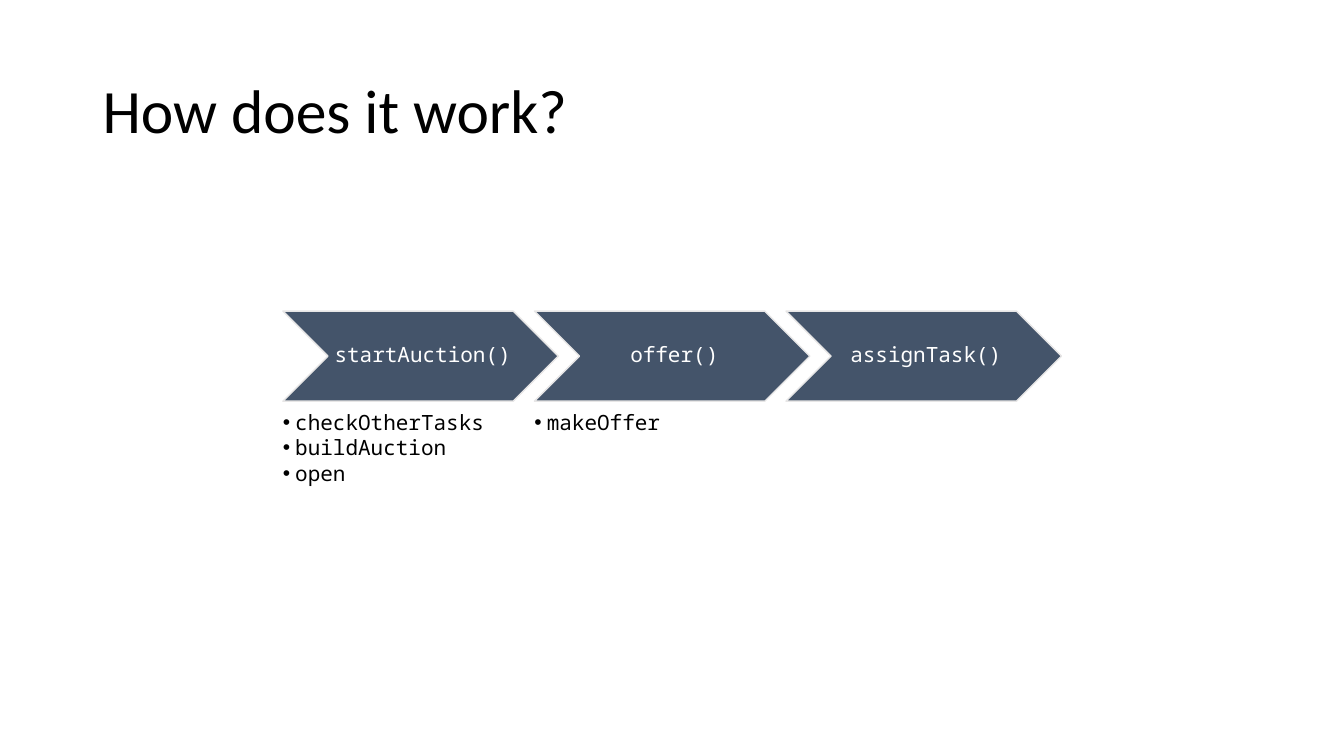
import pptx
import pptx.dml.color
import pptx.enum.shapes
import pptx.enum.text
import pptx.oxml.ns
import pptx.util
from lxml import etree

Cm, Pt = pptx.util.Cm, pptx.util.Pt
ALIGN = pptx.enum.text.PP_ALIGN
ANCHOR = pptx.enum.text.MSO_ANCHOR

TITLE = "How does it work?"
STEPS = [
    ("startAuction()", ["checkOtherTasks", "buildAuction", "open"]),
    ("offer()", ["makeOffer"]),
    ("assignTask()", []),
]
MONO, SANS, BULLET_FONT = "Noto Sans Mono", "Calibri", "Arial"
BLACK, WHITE, SLATE, PALE = "000000", "FFFFFF", "44546A", "E7E6E6"

LEFT, TOP, PITCH = 7.13, 7.84, 6.34
STEP_W, STEP_H = 6.94, 2.27
LIST_TOP, LIST_W, LIST_H = 10.38, 5.55, 1.98
BULLET_INDENT = 0.31


def rgb(color):
    return pptx.dml.color.RGBColor.from_string(color)


def style(p, size, font, color, align, after=0):
    p.font.size = Pt(size)
    p.font.name = font
    p.font.color.rgb = rgb(color)
    p.alignment = align
    p.line_spacing = 0.9
    p.space_before = Pt(0)
    p.space_after = Pt(after)


def set_margins(tf, left, other):
    tf.margin_left = Cm(left)
    tf.margin_top = tf.margin_right = tf.margin_bottom = Cm(other)


def add_bullet(p):
    pPr = p._p.get_or_add_pPr()
    pPr.set("marL", str(Cm(BULLET_INDENT)))
    pPr.set("indent", str(-Cm(BULLET_INDENT)))
    font = etree.Element(pptx.oxml.ns.qn("a:buFont"), typeface=BULLET_FONT)
    char = etree.Element(pptx.oxml.ns.qn("a:buChar"), char="•")
    default_run = pPr.find(pptx.oxml.ns.qn("a:defRPr"))
    default_run.addprevious(font)
    default_run.addprevious(char)


def add_step(s, x, name):
    sp = s.shapes.add_shape(pptx.enum.shapes.MSO_SHAPE.CHEVRON,
                            Cm(x), Cm(TOP), Cm(STEP_W), Cm(STEP_H))
    sp.shadow.inherit = False
    sp.fill.solid()
    sp.fill.fore_color.rgb = rgb(SLATE)
    sp.line.color.rgb = rgb(PALE)
    sp.line.width = Pt(1)
    tf = sp.text_frame
    tf.text = name
    tf.word_wrap = False
    tf.vertical_anchor = ANCHOR.MIDDLE
    set_margins(tf, 0.17, 0.06)
    style(tf.paragraphs[0], 15, MONO, WHITE, ALIGN.CENTER)


def add_list(s, x, items):
    sp = s.shapes.add_textbox(Cm(x), Cm(LIST_TOP), Cm(LIST_W), Cm(LIST_H))
    tf = sp.text_frame
    tf.word_wrap = True
    set_margins(tf, 0, 0)
    tf.text = "\n".join(items)
    for p in tf.paragraphs:
        p.level = 1
        style(p, 15, MONO, BLACK, ALIGN.LEFT, after=2.2)
        add_bullet(p)


def main():
    prs = pptx.Presentation()
    prs.slide_width, prs.slide_height = Cm(33.87), Cm(19.05)
    s = prs.slides.add_slide(prs.slide_layouts[5])

    title = s.shapes.title
    title.left, title.top = Cm(2.33), Cm(1.01)
    title.width, title.height = Cm(29.21), Cm(3.68)
    title.text_frame.text = TITLE
    title.text_frame.vertical_anchor = ANCHOR.MIDDLE
    style(title.text_frame.paragraphs[0], 44, SANS, BLACK, ALIGN.LEFT)

    for i, (name, items) in enumerate(STEPS):
        x = LEFT + i * PITCH
        add_step(s, x, name)
        if items:
            add_list(s, x, items)

    prs.save("out.pptx")


if __name__ == "__main__":
    main()
